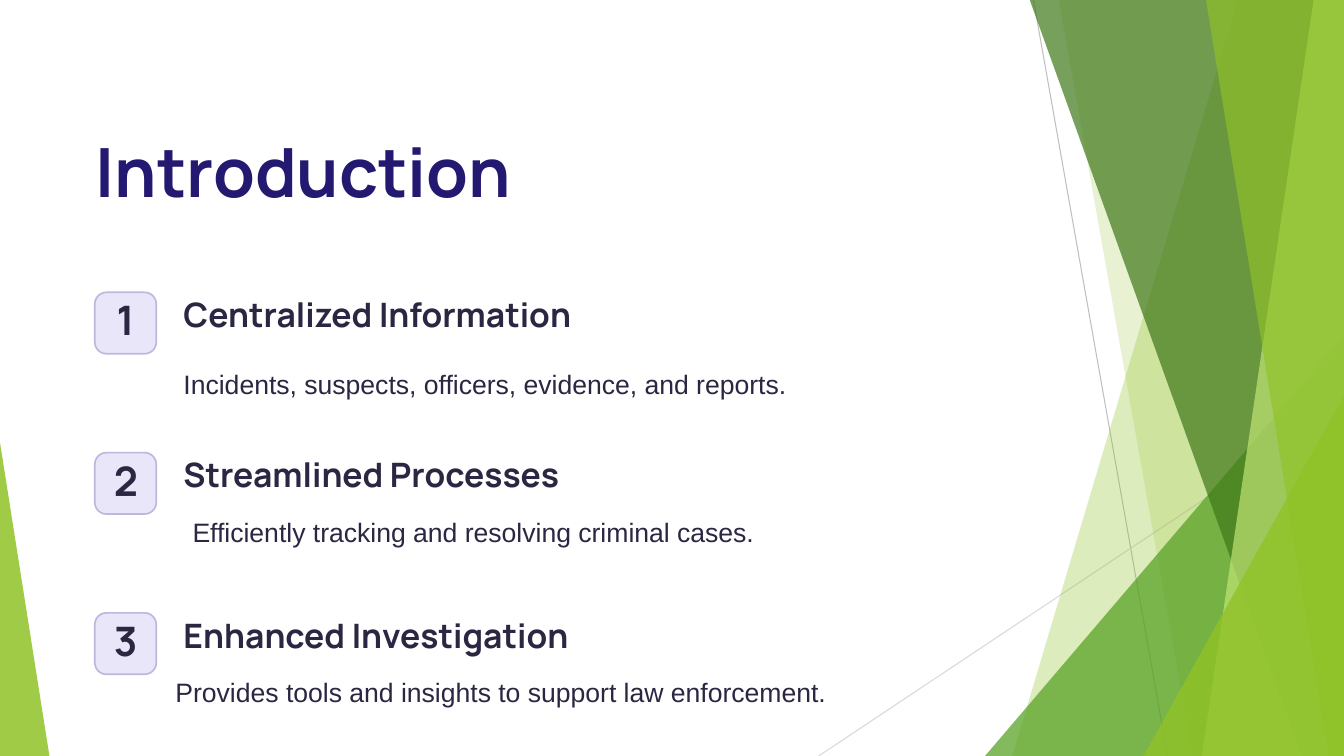
from lxml.etree import SubElement
from pptx import Presentation
from pptx.dml.color import RGBColor
from pptx.enum.shapes import MSO_CONNECTOR as Connector, MSO_SHAPE as Preset
from pptx.enum.text import PP_ALIGN as Align
from pptx.oxml.ns import qn
from pptx.util import Inches, Pt

WIDTH, HEIGHT = 13.33, 7.5
LIME = RGBColor(0x90, 0xC2, 0x26)
PALE_LIME = RGBColor(0xC0, 0xE4, 0x74)
GREEN = RGBColor(0x54, 0xA0, 0x21)
DARK_GREEN = RGBColor(0x3F, 0x78, 0x19)
GRAY = RGBColor(0xBF, 0xBF, 0xBF)
LIGHT_GRAY = RGBColor(0xD9, 0xD9, 0xD9)
NAVY = RGBColor(0x23, 0x19, 0x71)
INK = RGBColor(0x2A, 0x27, 0x42)
LAVENDER = RGBColor(0xE9, 0xE6, 0xFA)
LILAC = RGBColor(0xBD, 0xB8, 0xDF)

FIRST_TOP, PITCH = 2.9, 1.59
TOPICS = [
    ("Centralized Information",
     "Incidents, suspects, officers, evidence, and reports.", 1.82, 3.54),
    ("Streamlined Processes",
     "Efficiently tracking and resolving criminal cases.", 1.91, 5),
    ("Enhanced Investigation",
     "Provides tools and insights to support law enforcement.", 1.74, 6.59),
]


def paint(shape, color, opacity):
    """Give a shape a translucent fill without outline or shadow."""
    shape.shadow.inherit = False
    shape.line.fill.background()
    shape.fill.solid()
    shape.fill.fore_color.rgb = color
    tone = shape.fill._xPr.find(".//" + qn("a:srgbClr"))
    SubElement(tone, qn("a:alpha"), val=str(opacity * 1000))


def add_ray(page, top_left, bottom_left, color, opacity):
    """Draw a full-height band from a slanted left edge to the slide's right edge."""
    top = -0.01
    builder = page.shapes.build_freeform(Inches(top_left), Inches(top))
    corners = [(WIDTH, top), (WIDTH, HEIGHT), (bottom_left, HEIGHT)]
    builder.add_line_segments([(Inches(x), Inches(y)) for x, y in corners])
    paint(builder.convert_to_shape(), color, opacity)


def add_corner(page, left, top, width, peak, color, opacity):
    """Draw a triangle standing on the slide's bottom edge."""
    triangle = page.shapes.add_shape(
        Preset.ISOSCELES_TRIANGLE, Inches(left), Inches(top),
        Inches(width), Inches(HEIGHT - top))
    triangle.adjustments[0] = peak
    paint(triangle, color, opacity)


def add_hairline(page, start, end, color):
    """Draw a thin straight line between two points."""
    line = page.shapes.add_connector(
        Connector.STRAIGHT, *(Inches(value) for value in start + end))
    line.line.color.rgb = color
    line.line.width = Pt(0.75)
    SubElement(line._element.spPr, qn("a:effectLst"))


def add_text(page, text, left, top, width, height, *, size, spacing,
             font="Manrope", color=INK, bold=True, align=Align.LEFT):
    """Place one line of formatted text."""
    box = page.shapes.add_textbox(
        Inches(left), Inches(top), Inches(width), Inches(height))
    frame = box.text_frame
    frame.word_wrap = False
    frame.margin_left = frame.margin_right = 0
    frame.margin_top = frame.margin_bottom = 0
    para = frame.paragraphs[0]
    para.alignment = align
    para.line_spacing = Pt(spacing)
    span = para.add_run()
    span.text = text
    span.font.name = font
    span.font.size = Pt(size)
    span.font.bold = bold
    span.font.color.rgb = color


def add_badge(page, number, top):
    """Draw a rounded square holding a topic number."""
    badge = page.shapes.add_shape(
        Preset.ROUNDED_RECTANGLE, Inches(0.94), Inches(top),
        Inches(0.61), Inches(0.61))
    badge.adjustments[0] = 0.19
    badge.shadow.inherit = False
    badge.fill.solid()
    badge.fill.fore_color.rgb = LAVENDER
    badge.line.color.rgb = LILAC
    badge.line.width = Pt(1.2)
    add_text(page, str(number), 1.13, top + 0.11, 0.23, 0.4,
             size=29, spacing=29, align=Align.CENTER)


def add_backdrop(page):
    """Draw the green facets and hairlines around the content."""
    add_hairline(page, (10.25, 0), (11.58, HEIGHT), GRAY)
    add_hairline(page, (WIDTH, 4.03), (8.12, HEIGHT), LIGHT_GRAY)
    add_ray(page, 12.28, 10.04, LIME, 30)
    add_ray(page, 10.5, 11.83, LIME, 20)
    add_corner(page, 9.77, 3.33, 3.56, 1, GREEN, 72)
    add_ray(page, 10.21, 12.91, DARK_GREEN, 70)
    add_ray(page, 13.03, 11.92, PALE_LIME, 70)
    add_ray(page, 11.96, 13.18, LIME, 65)
    add_corner(page, 11.34, 3.93, 1.99, 1, LIME, 80)
    add_corner(page, 0, 4.39, 0.49, 0, LIME, 85)


def main():
    """Build and save the introduction slide."""
    deck = Presentation()
    deck.slide_width, deck.slide_height = Inches(WIDTH), Inches(HEIGHT)
    page = deck.slides.add_slide(deck.slide_layouts[6])
    add_backdrop(page)
    add_text(page, "Introduction", 0.95, 1.25, 6.75, 0.84,
             size=48.5, spacing=60.5, color=NAVY)
    for index, (heading, detail, left, detail_top) in enumerate(TOPICS):
        top = FIRST_TOP + index * PITCH
        add_badge(page, index + 1, top)
        add_text(page, heading, 1.82, top, 4.2, 0.42, size=24, spacing=30)
        add_text(page, detail, left, detail_top, 7.23, 0.43,
                 size=19, spacing=31, font="Arial", bold=False)
    deck.save("out.pptx")


if __name__ == "__main__":
    main()
